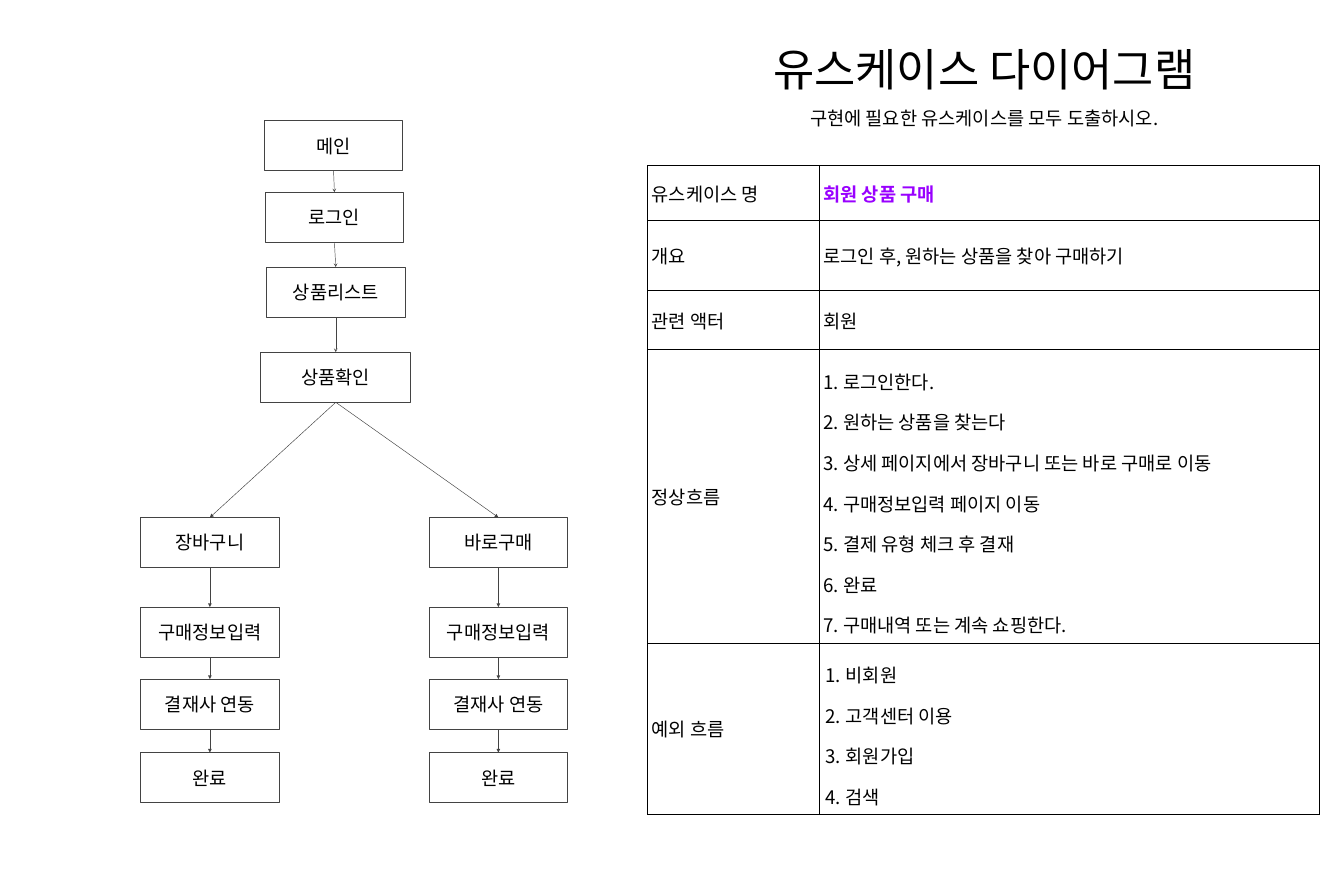
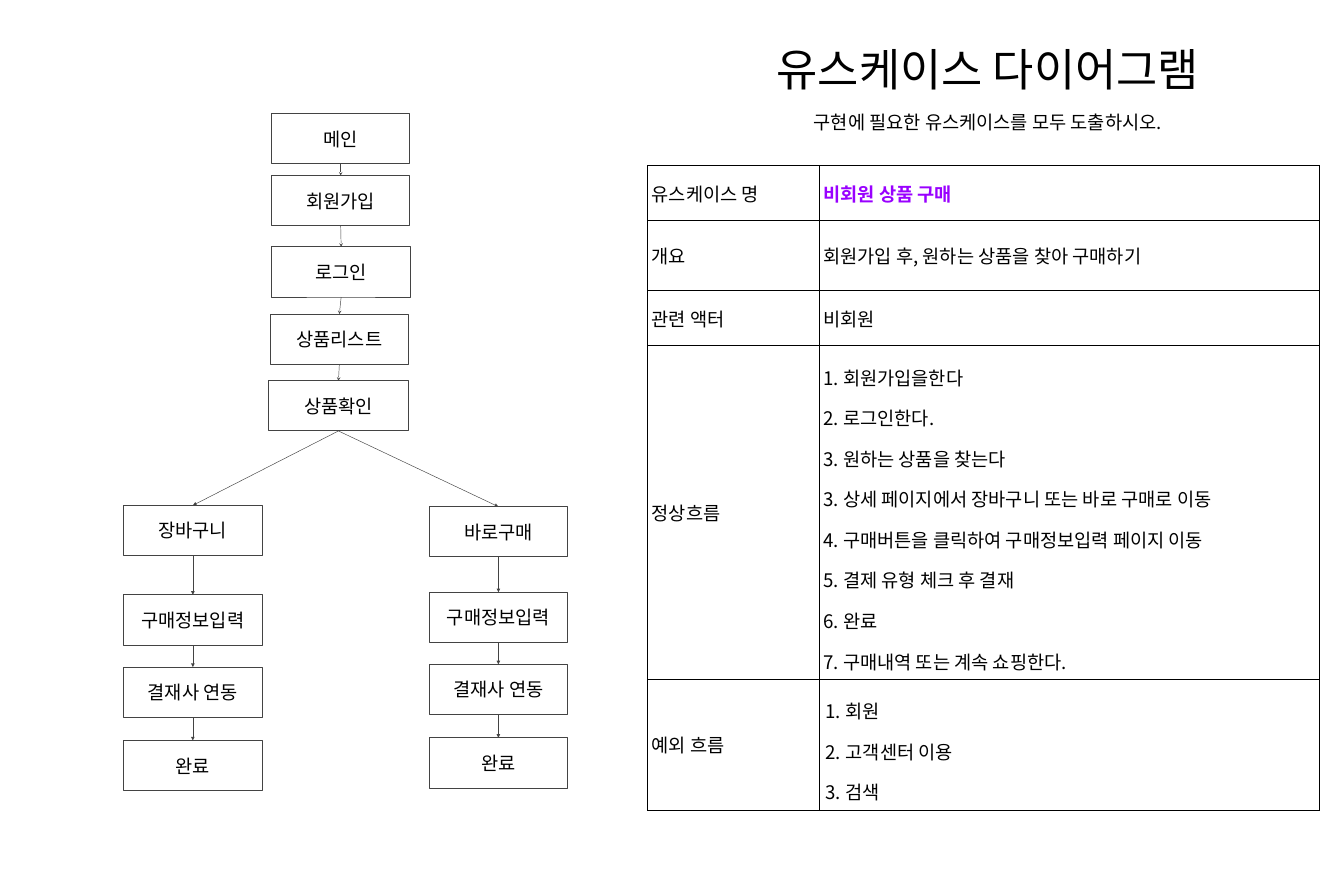
from itertools import pairwise
from lxml.etree import SubElement
from pptx import Presentation
from pptx.dml.color import RGBColor
from pptx.enum.shapes import MSO_CONNECTOR as LINK, MSO_SHAPE as FORM
from pptx.enum.text import MSO_ANCHOR as ANCHOR, PP_ALIGN as ALIGN
from pptx.oxml.ns import qn
from pptx.util import Inches, Pt

BLACK, WHITE, GREY, PURPLE = "000000", "FFFFFF", "434343", "9900FF"
FACE = "Noto Sans CJK KR"
BODY, HEAD = 30, 72
PAD = Inches(0.1)
BOX_W, BOX_H = 3.09, 1.12
STEPS = ["구매정보입력", "결재사 연동", "완료"]
DROPS = [0, 1.61, 3.25]
LABELS = ["유스케이스 명", "개요", "관련 액터", "정상흐름", "예외 흐름"]
TITLE = "유스케이스 다이어그램"
NOTE = "구현에 필요한 유스케이스를 모두 도출하시오."
BOTTOM, TOP = 2, 0  # connection sites of a rectangle

# trunk: label, left, top, width; forks: label, left, top, gap to the next box
PAGES = [
    dict(
        head=(14.37, 0.13), lead=1.5, gap=0,
        trunk=[("메인", 5.9, 2.69, BOX_W), ("로그인", 5.92, 4.29, BOX_W),
               ("상품리스트", 5.95, 5.96, BOX_W), ("상품확인", 5.82, 7.86, 3.35)],
        forks=[("장바구니", 3.14, 11.55, 2), ("바로구매", 9.58, 11.55, 2)],
        rows=[1.22, 1.57, 1.31, 6.55, 3.82],
        facts=[["회원 상품 구매"], ["로그인 후, 원하는 상품을 찾아 구매하기"], ["회원"],
               ["1. 로그인한다.", "2. 원하는 상품을 찾는다",
                "3. 상세 페이지에서 장바구니 또는 바로 구매로 이동",
                "4. 구매정보입력 페이지 이동", "5. 결제 유형 체크 후 결재",
                "6. 완료", "7. 구매내역 또는 계속 쇼핑한다."],
               ["비회원", "고객센터 이용", "회원가입", "검색"]],
    ),
    dict(
        head=(14.45, 0.54), lead=1.15, gap=20,
        trunk=[("메인", 6.06, 2.54, BOX_W), ("회원가입", 6.06, 3.92, BOX_W),
               ("로그인", 6.07, 5.51, BOX_W), ("상품리스트", 6.03, 7.01, BOX_W),
               ("상품확인", 6, 8.5, 3.11)],
        forks=[("장바구니", 2.76, 11.28, 2), ("바로구매", 9.58, 11.31, 1.91)],
        rows=[1.22, 1.57, 1.22, 7.45, 2.92],
        facts=[["비회원 상품 구매"], ["회원가입 후, 원하는 상품을 찾아 구매하기"], ["비회원"],
               ["1. 회원가입을한다", "2. 로그인한다.", "3. 원하는 상품을 찾는다",
                "3. 상세 페이지에서 장바구니 또는 바로 구매로 이동",
                "4. 구매버튼을 클릭하여 구매정보입력 페이지 이동",
                "5. 결제 유형 체크 후 결재", "6. 완료", "7. 구매내역 또는 계속 쇼핑한다."],
               ["회원", "고객센터 이용", "검색"]],
    ),
]


def paint(fill, color):
    """Make a fill solid in a hex colour."""
    fill.solid()
    fill.fore_color.rgb = RGBColor.from_string(color)


def write(para, text, size=BODY, color=BLACK, bold=False):
    """Add one run in the shared typeface."""
    run = para.add_run()
    run.text = text
    font = run.font
    font.size, font.bold, font.name = Pt(size), bold, FACE
    paint(font.fill, color)
    SubElement(font._element, qn("a:ea"), typeface=FACE)


deck = Presentation()
deck.slide_width, deck.slide_height = Inches(30), Inches(20)
COL, ROW = deck.slide_width / 30, deck.slide_height / 20

for page in PAGES:
    slide = deck.slides.add_slide(deck.slide_layouts[6])
    shapes = slide.shapes
    paint(slide.background.fill, WHITE)

    # Flow: one trunk, then two branches that end in the same steps
    chains = [page["trunk"]]
    for label, left, top, gap in page["forks"]:
        tail = [(step, left, top + gap + drop, BOX_W)
                for step, drop in zip(STEPS, DROPS)]
        chains.append([(label, left, top, BOX_W)] + tail)

    flows = []
    for chain in chains:
        flow = []
        for label, left, top, width in chain:
            box = shapes.add_shape(FORM.RECTANGLE, int(left * COL), int(top * ROW),
                                   int(width * COL), int(BOX_H * ROW))
            box.shadow.inherit = False
            paint(box.fill, WHITE)
            paint(box.line.fill, GREY)
            box.line.width = Pt(1.5)
            frame = box.text_frame
            frame.margin_left = frame.margin_right = PAD
            frame.margin_top = frame.margin_bottom = PAD
            frame.paragraphs[0].alignment = ALIGN.CENTER
            write(frame.paragraphs[0], label)
            flow.append(box)
        flows.append(flow)

    trunk, *forks = flows
    links = [(*pair, "stealth") for pair in pairwise(trunk)]
    for fork in forks:
        links += [(*pair, "triangle") for pair in pairwise([trunk[-1]] + fork)]
    for start, end, tip in links:
        line = shapes.add_connector(LINK.STRAIGHT, 0, 0, 0, 0)
        line.begin_connect(start, BOTTOM)
        line.end_connect(end, TOP)
        paint(line.line.fill, GREY)
        line.line.width = Pt(0.75)
        SubElement(line.line._get_or_add_ln(), qn("a:tailEnd"), type=tip)
        SubElement(line._element.spPr, qn("a:effectLst"))

    # Title and note
    left, top = page["head"]
    frame = shapes.add_textbox(int(left * COL), int(top * ROW),
                               int(15.2 * COL), int(3.12 * ROW)).text_frame
    frame.word_wrap = True
    frame.margin_left = frame.margin_right = Inches(0.21)
    frame.margin_top = frame.margin_bottom = Inches(0.21)
    title, note = frame.paragraphs[0], frame.add_paragraph()
    for para, text, size in [(title, TITLE, HEAD), (note, NOTE, BODY)]:
        para.alignment, para.line_spacing = ALIGN.CENTER, page["lead"]
        write(para, text, size)
    note.space_before = Pt(page["gap"])

    # Use case table
    rows = page["rows"]
    table = shapes.add_table(len(rows), 2, int(14.45 * COL), int(3.7 * ROW),
                             int(15 * COL), int(sum(rows) * ROW)).table
    table.first_row = table.horz_banding = False
    for column, width in zip(table.columns, [3.83, 11.17]):
        column.width = int(width * COL)
    for r, (label, facts) in enumerate(zip(LABELS, page["facts"])):
        table.rows[r].height = int(rows[r] * ROW)
        for c, texts in enumerate([[label], facts]):
            cell = table.cell(r, c)
            cell.vertical_anchor = ANCHOR.MIDDLE
            cell.margin_left = cell.margin_right = PAD
            cell.margin_top = cell.margin_bottom = PAD
            props = cell._tc.get_or_add_tcPr()
            for side in "LRTB":
                edge = SubElement(props, qn(f"a:ln{side}"), w=str(Pt(1)))
                solid = SubElement(edge, qn("a:solidFill"))
                SubElement(solid, qn("a:srgbClr"), val=BLACK)
            cell.fill.background()

            accent = r == 0 and c == 1
            for i, text in enumerate(texts):
                frame = cell.text_frame
                para = frame.add_paragraph() if i else frame.paragraphs[0]
                if len(texts) > 1:
                    para.line_spacing = 1.5
                if r == len(rows) - 1 and c == 1:
                    mark = para._p.get_or_add_pPr()
                    mark.set("marL", str(Inches(0.5)))
                    mark.set("indent", str(Inches(-0.46)))
                    tint = SubElement(mark, qn("a:buClr"))
                    SubElement(tint, qn("a:srgbClr"), val=BLACK)
                    SubElement(mark, qn("a:buFont"), typeface=FACE)
                    SubElement(mark, qn("a:buAutoNum"), type="arabicPeriod")
                write(para, text, color=PURPLE if accent else BLACK, bold=accent)

deck.save("out.pptx")
